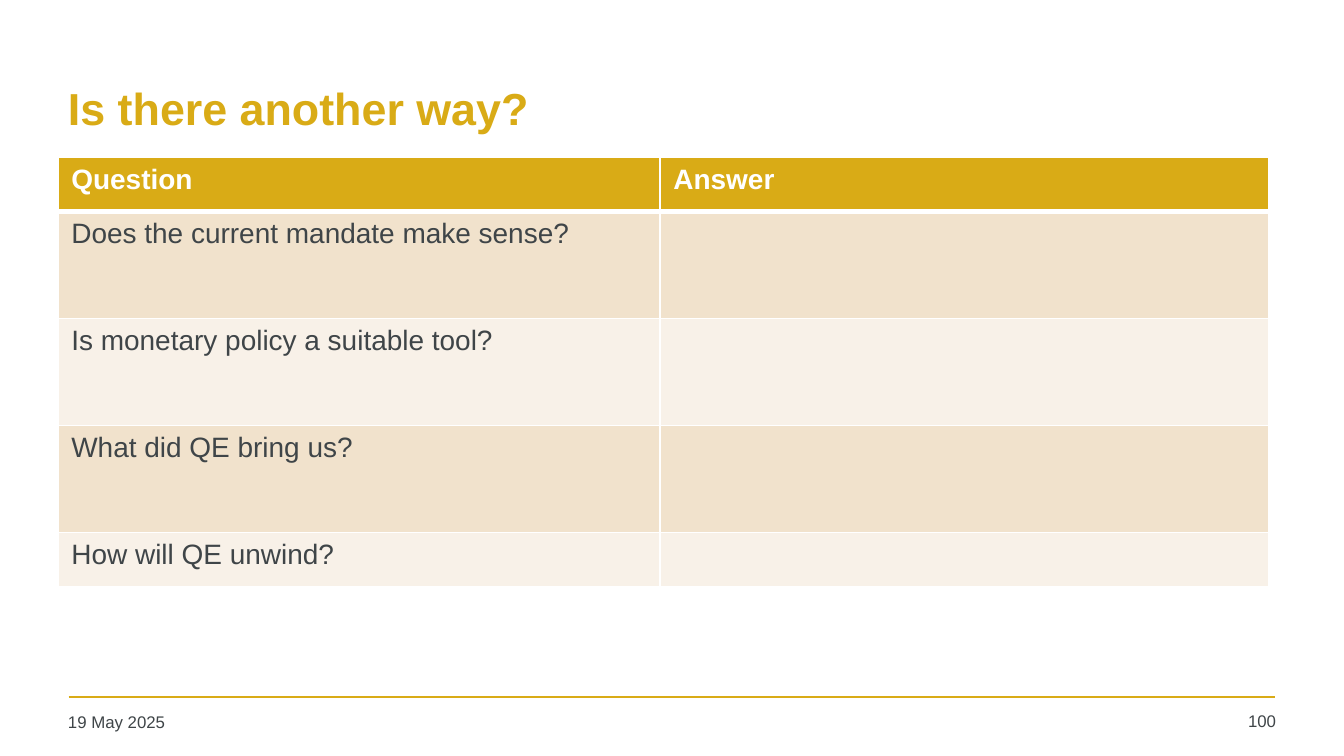
import pptx
import pptx.dml.color
import pptx.enum.text
import pptx.oxml
import pptx.oxml.ns
import pptx.util

Pt = pptx.util.Pt
RGBColor = pptx.dml.color.RGBColor
Align = pptx.enum.text.PP_ALIGN
Anchor = pptx.enum.text.MSO_ANCHOR

GOLD = RGBColor(0xD9, 0xAB, 0x16)
SLATE = RGBColor(0x3F, 0x45, 0x48)
WHITE = RGBColor(0xFF, 0xFF, 0xFF)
BANDS = [RGBColor(0xF1, 0xE2, 0xCC), RGBColor(0xF8, 0xF1, 0xE8)]
FONT = "Arial"

TITLE = "Is there another way?"
ROWS = [
    ("Question", "Answer"),
    ("Does the current mandate make sense?", ""),
    ("Is monetary policy a suitable tool?", ""),
    ("What did QE bring us?", ""),
    ("How will QE unwind?", ""),
]
SINGLE, DOUBLE = 28.8, 57.4
ROW_HEIGHTS = [SINGLE, DOUBLE, DOUBLE, DOUBLE, SINGLE]
COLUMN_WIDTHS = [322.5, 326.2]
LEFT, TABLE_TOP = 31, 84.4
RULE_LEFT, RULE_RIGHT, RULE_TOP = 36.8, 683.2, 373.6
# text, left, top, width, height, alignment
FOOTERS = [
    ("19 May 2025", LEFT, 378.7, 158.4, 19.4, Align.LEFT),
    ("100", 637.9, 378, 51.1, 20.2, Align.RIGHT),
]


def write_text(frame, text, size=15, color=SLATE, bold=False, align=Align.LEFT):
    frame.word_wrap = True
    paragraph = frame.paragraphs[0]
    paragraph.text = text
    paragraph.alignment = align
    paragraph.font.name = FONT
    paragraph.font.size = Pt(size)
    paragraph.font.bold = bold
    paragraph.font.color.rgb = color


def set_margins(frame):
    frame.margin_left = frame.margin_right = Pt(5.4)
    frame.margin_top = frame.margin_bottom = Pt(2.7)


def set_borders(cell, widths):
    """Draw white borders; widths maps left, right, top, bottom tags to points."""
    properties = cell._tc.get_or_add_tcPr()
    for index, (tag, width) in enumerate(widths.items()):
        border = pptx.oxml.parse_xml(
            f'<a:{tag} {pptx.oxml.ns.nsdecls("a")} w="{Pt(width)}">'
            f'<a:solidFill><a:srgbClr val="{WHITE}"/></a:solidFill></a:{tag}>')
        properties.insert(index, border)


def add_title(slide):
    title = slide.shapes.title
    title.left, title.top, title.width, title.height = Pt(LEFT), Pt(23.8), Pt(653), Pt(67.7)
    set_margins(title.text_frame)
    title.text_frame.vertical_anchor = Anchor.MIDDLE
    write_text(title.text_frame, TITLE, size=24, color=GOLD, bold=True)


def add_question_table(slide):
    frame = slide.shapes.add_table(
        len(ROWS), len(COLUMN_WIDTHS), Pt(LEFT), Pt(TABLE_TOP),
        Pt(sum(COLUMN_WIDTHS)), Pt(sum(ROW_HEIGHTS)))
    table = frame.table
    for column, width in zip(table.columns, COLUMN_WIDTHS):
        column.width = Pt(width)
    for row_index, texts in enumerate(ROWS):
        table.rows[row_index].height = Pt(ROW_HEIGHTS[row_index])
        header = row_index == 0
        for column_index, text in enumerate(texts):
            cell = table.cell(row_index, column_index)
            cell.fill.solid()
            cell.fill.fore_color.rgb = GOLD if header else BANDS[(row_index - 1) % 2]
            write_text(cell.text_frame, text, color=WHITE if header else SLATE, bold=header)
            set_borders(cell, {"lnL": 1, "lnR": 1,
                               "lnT": 3 if row_index == 1 else 1,
                               "lnB": 3 if header else 1})


def add_footer(slide):
    rule = slide.shapes.add_connector(
        pptx.enum.shapes.MSO_CONNECTOR.STRAIGHT,
        Pt(RULE_LEFT), Pt(RULE_TOP), Pt(RULE_RIGHT), Pt(RULE_TOP))
    rule.line.color.rgb = GOLD
    rule.line.width = Pt(1)
    rule._element.spPr.append(
        pptx.oxml.parse_xml(f'<a:effectLst {pptx.oxml.ns.nsdecls("a")}/>'))
    for text, left, top, width, height, align in FOOTERS:
        box = slide.shapes.add_textbox(Pt(left), Pt(top), Pt(width), Pt(height))
        set_margins(box.text_frame)
        write_text(box.text_frame, text, size=9, align=align)


def main():
    presentation = pptx.Presentation()
    presentation.slide_width, presentation.slide_height = Pt(720), Pt(405)
    slide = presentation.slides.add_slide(presentation.slide_layouts[5])
    add_title(slide)
    add_question_table(slide)
    add_footer(slide)
    presentation.save("out.pptx")


if __name__ == "__main__":
    main()
